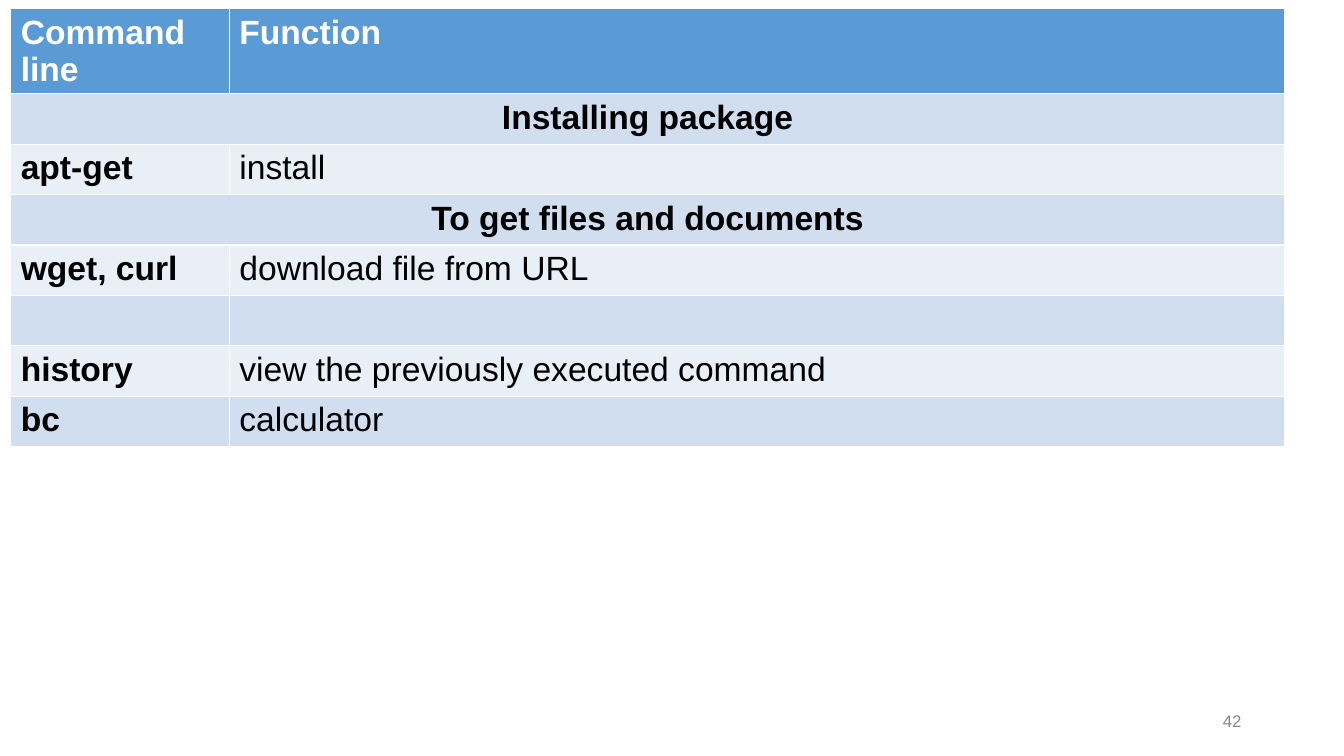
from pptx import Presentation
from pptx.dml.color import RGBColor
from pptx.enum.text import MSO_ANCHOR, PP_ALIGN
from pptx.util import Cm, Pt

ROWS = [
    ("Command line", "Function"),
    ("Installing package",),
    ("apt-get", "install"),
    ("To get files and documents",),
    ("wget, curl", "download file from URL"),
    ("", ""),
    ("history", "view the previously executed command"),
    ("bc", "calculator"),
]
WIDTHS = (5.51, 26.59)
HEAD, TALL = 1.52, 1.27
BLUE, BANDS = "5B9BD5", ("E9EFF7", "D0DEEF")


def color(code):
    """Turn a hex string into a colour."""
    return RGBColor.from_string(code)


def write(frame, text, size, ink, bold=False, align=PP_ALIGN.LEFT):
    """Put one styled paragraph into a text frame."""
    par = frame.paragraphs[0]
    par.text = text
    par.alignment = align
    par.font.name = "Arial"
    par.font.size = Pt(size)
    par.font.bold = bold
    par.font.color.rgb = color(ink)


def add_grid(slide, left, top):
    """Add the command table with its header, bands and section rows."""
    height = HEAD + TALL * (len(ROWS) - 1)
    grid = slide.shapes.add_table(len(ROWS), len(WIDTHS), Cm(left), Cm(top),
                                  Cm(sum(WIDTHS)), Cm(height)).table
    for col, width in zip(grid.columns, WIDTHS):
        col.width = Cm(width)
    for r, texts in enumerate(ROWS):
        grid.rows[r].height = Cm(TALL if r else HEAD)
        section = len(texts) == 1
        if section:
            grid.cell(r, 0).merge(grid.cell(r, 1))
        for c in range(len(WIDTHS)):
            cell = grid.cell(r, c)
            cell.fill.solid()
            cell.fill.fore_color.rgb = color(BANDS[r % 2] if r else BLUE)
            if c < len(texts):
                write(cell.text_frame, texts[c], 24,
                      "000000" if r else "FFFFFF", r == 0 or c == 0,
                      PP_ALIGN.CENTER if section else PP_ALIGN.LEFT)


def add_number(slide, text):
    """Add the page number at the lower right."""
    box = slide.shapes.add_textbox(Cm(23.92), Cm(17.65), Cm(7.62), Cm(1.02))
    frame = box.text_frame
    frame.word_wrap = True
    frame.vertical_anchor = MSO_ANCHOR.MIDDLE
    write(frame, text, 12, "888888", align=PP_ALIGN.RIGHT)


def main():
    """Build the slide and save it."""
    deck = Presentation()
    deck.slide_width, deck.slide_height = Cm(33.87), Cm(19.05)
    slide = deck.slides.add_slide(deck.slide_layouts[6])
    add_grid(slide, 0.27, 0.22)
    add_number(slide, "42")
    deck.save("out.pptx")


if __name__ == "__main__":
    main()
